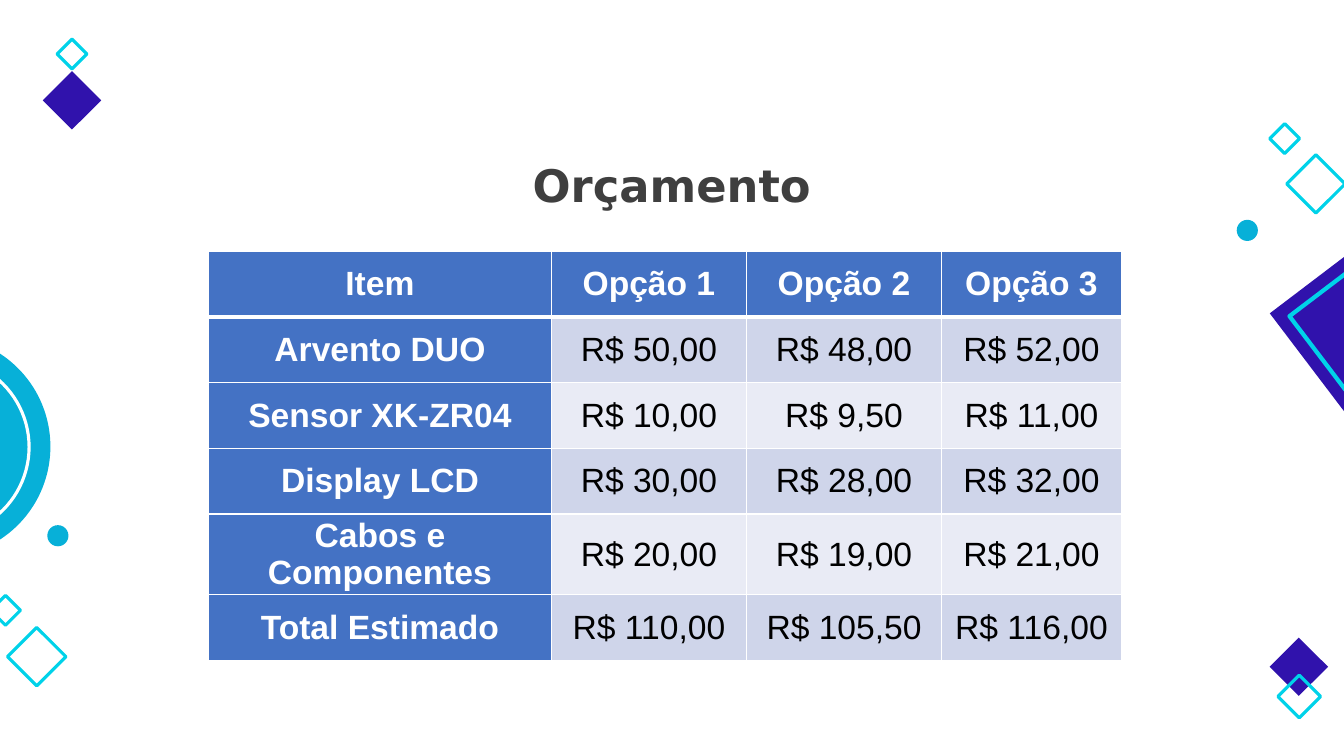
from dataclasses import dataclass

from lxml import etree
from pptx import Presentation
from pptx.dml.color import RGBColor
from pptx.enum.shapes import MSO_SHAPE
from pptx.enum.text import MSO_ANCHOR, PP_ALIGN
from pptx.oxml.ns import qn
from pptx.util import Pt

RECT, OVAL = MSO_SHAPE.RECTANGLE, MSO_SHAPE.OVAL
MIDDLE, CENTER = MSO_ANCHOR.MIDDLE, PP_ALIGN.CENTER


@dataclass(frozen=True)
class Theme:
    """Colours, fonts and type sizes of the slide."""
    violet: str = "3012AC"
    cyan: str = "00D2E9"
    sky: str = "07B0D8"
    white: str = "FFFFFF"
    black: str = "000000"
    grey: str = "3F3F3F"
    blue: str = "4472C4"
    bands: tuple = ("CFD5EA", "E9EBF5")
    head: str = "DejaVu Sans"
    body: str = "Arial"
    large: int = 32
    small: int = 24


class Deck:
    """Draws elements on the current slide in one style."""

    def __init__(self, theme):
        """Open a blank wide slide."""
        self.theme = theme
        self.file = Presentation()
        self.file.slide_width, self.file.slide_height = Pt(960), Pt(540)
        self.slide = self.file.slides.add_slide(self.file.slide_layouts[6])

    def apply(self, target, **values):
        """Set each given value on the target."""
        for name, value in values.items():
            setattr(target, name, value)

    def label(self, frame, text, color, **font):
        """Fill a frame with one centred line of text."""
        para = frame.paragraphs[0]
        para.alignment = CENTER
        run = para.add_run()
        run.text = text
        self.apply(run.font, **font)
        run.font.color.rgb = RGBColor.from_string(color)
        return para

    def mark(self, kind, left, top, size, color, line=0, turn=0):
        """Add a solid mark, or an outlined one when a line width is given."""
        shape = self.slide.shapes.add_shape(
            kind, Pt(left), Pt(top), Pt(size), Pt(size))
        shape.shadow.inherit = False
        shape.rotation = turn
        if line:
            shape.fill.background()
            shape.line.width = Pt(line)
            paint = shape.line.fill
        else:
            shape.line.fill.background()
            paint = shape.fill
        paint.solid()
        paint.fore_color.rgb = RGBColor.from_string(color)

    def title(self, text, left, top, width, height):
        """Add the heading."""
        box = self.slide.shapes.add_textbox(
            Pt(left), Pt(top), Pt(width), Pt(height))
        self.apply(box.text_frame, word_wrap=True, vertical_anchor=MIDDLE)
        para = self.label(box.text_frame, text, self.theme.grey, bold=True,
                          name=self.theme.head, size=Pt(self.theme.large))
        para.line_spacing = 0.9

    def edge(self, cell, **widths):
        """Draw white cell borders of the given widths."""
        props = cell._tc.get_or_add_tcPr()
        for side, width in widths.items():
            line = etree.SubElement(props, qn(f"a:ln{side}"), w=str(Pt(width)))
            fill = etree.SubElement(line, qn("a:solidFill"))
            etree.SubElement(fill, qn("a:srgbClr"), val=self.theme.white)

    def table(self, rows, left, top, widths, height):
        """Add a banded table with a strong first row and column."""
        theme = self.theme
        grid = self.slide.shapes.add_table(
            len(rows), len(widths), Pt(left), Pt(top),
            Pt(sum(widths)), Pt(height * len(rows))).table
        self.apply(grid, first_row=False, horz_banding=False)
        for col, width in zip(grid.columns, widths):
            col.width = Pt(width)
        for i, row in enumerate(rows):
            for j, text in enumerate(row):
                cell = grid.cell(i, j)
                strong = i == 0 or j == 0
                self.edge(cell, L=1, R=1, T=3 if i == 1 else 1,
                          B=3 if i == 0 else 1)
                self.apply(cell, vertical_anchor=MIDDLE,
                           margin_left=Pt(5), margin_right=Pt(5),
                           margin_top=0, margin_bottom=0)
                cell.fill.solid()
                cell.fill.fore_color.rgb = RGBColor.from_string(
                    theme.blue if strong else theme.bands[(i - 1) % 2])
                self.label(cell.text_frame, text,
                           theme.white if strong else theme.black,
                           name=theme.body, size=Pt(theme.small), bold=strong)


def main():
    """Build and save the budget slide."""
    theme = Theme()
    deck = Deck(theme)

    deck.mark(RECT, 926.6, 184.3, 97.9, theme.violet, turn=52.8)
    deck.mark(RECT, 936.7, 194.4, 77.8, theme.cyan, line=3, turn=52.8)
    deck.mark(OVAL, -122.4, 239.8, 158.4, theme.sky)
    deck.mark(OVAL, -106.6, 255.6, 127.4, theme.white, line=2.25)
    for left, top in ((33.8, 375.1), (883.4, 157)):
        deck.mark(OVAL, left, top, 15.1, theme.sky)
    for left, top in ((913, 461.5), (36.7, 56.9)):
        deck.mark(RECT, left, top, 29.5, theme.violet, turn=315)
    rings = ((43.9, 31, 15.1), (917.3, 486.7, 21.6), (11.5, 454.3, 29.5),
             (-3.6, 428.4, 15.1), (925.2, 116.6, 29.5), (910.1, 91.4, 15.1))
    for left, top, size in rings:
        deck.mark(RECT, left, top, size, theme.cyan, line=2.25, turn=315)

    deck.title("Orçamento", 106.6, 89.3, 746.6, 90)
    rows = (
        ("Item", "Opção 1", "Opção 2", "Opção 3"),
        ("Arvento DUO", "R$ 50,00", "R$ 48,00", "R$ 52,00"),
        ("Sensor XK-ZR04", "R$ 10,00", "R$ 9,50", "R$ 11,00"),
        ("Display LCD", "R$ 30,00", "R$ 28,00", "R$ 32,00"),
        ("Cabos e Componentes", "R$ 20,00", "R$ 19,00", "R$ 21,00"),
        ("Total Estimado", "R$ 110,00", "R$ 105,50", "R$ 116,00"),
    )
    deck.table(rows, 149, 179.6, (244.8, 139.5, 139.2, 128.6), 46.9)
    deck.file.save("out.pptx")


if __name__ == "__main__":
    main()
